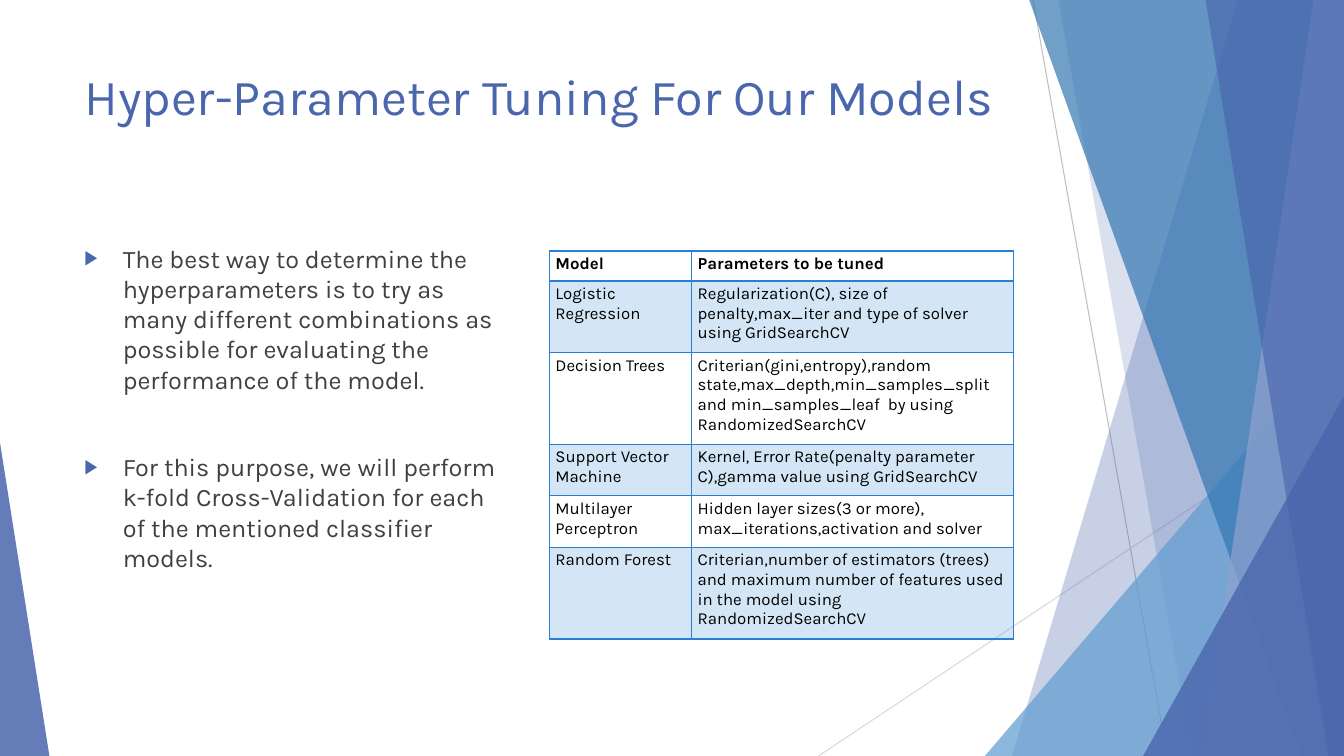
from lxml import etree
from pptx import Presentation
from pptx import util as u
from pptx.dml.color import RGBColor
from pptx.enum import shapes, text
from pptx.oxml import parse_xml
from pptx.oxml.ns import nsdecls, qn

HEX = {
    "navy": "4A66AC", "sky": "629DD1", "blue": "3477B2", "pale": "90A2CF",
    "edge": "297FD5", "body": "404040", "ink": "000000",
    "gray": "BFBFBF", "mist": "D9D9D9",
}
FONT = "Karla"

TITLE = "Hyper-Parameter Tuning For Our Models"
POINTS = [
    "The best way to determine the hyperparameters is to try as many different "
    "combinations as possible for evaluating the performance of the model.",
    "For this purpose, we will perform k-fold Cross-Validation for each of the "
    "mentioned classifier models.",
]
ROWS = [
    ("Model", "Parameters to be tuned", 4),
    ("Logistic Regression",
     "Regularization(C), size of penalty,max_iter and type of solver using GridSearchCV", 9.47),
    ("Decision Trees",
     "Criterian(gini,entropy),random state,max_depth,min_samples_split and "
     "min_samples_leaf  by using RandomizedSearchCV", 12.13),
    ("Support Vector Machine",
     "Kernel, Error Rate(penalty parameter C),gamma value using GridSearchCV", 6.8),
    ("Multilayer Perceptron",
     "Hidden layer sizes(3 or more),\nmax_iterations,activation and solver", 6.8),
    ("Random Forest",
     "Criterian,number of estimators (trees) and maximum number of features used "
     "in the model using RandomizedSearchCV", 12.13),
]

# Lengths are percentages of the slide's width and height.
COLS = (10.58, 23.93)
GRID = (40.88, 33.2)
HEAD = (5.55, 8.93, 70.5, 19.2)
BODY = (5.55, 31.47, 32.48, 54.67)
LINES = [
    (76.87, 0, 86.85, 100, "gray"),
    (100, 53.73, 60.9, 100, "mist"),
]
FACETS = [
    ("band", 92.1, 75.3, "navy", 30),
    ("band", 78.75, 88.73, "navy", 20),
    ("peak", (73.28, 44.4, 100), 1, "sky", 72),
    ("band", 76.58, 96.83, "blue", 70),
    ("band", 97.73, 89.4, "pale", 70),
    ("band", 89.7, 98.85, "navy", 65),
    ("peak", (85.05, 52.4, 100), 1, "navy", 80),
    ("peak", (0, 58.53, 3.68), 0, "navy", 85),
]

deck = Presentation()
deck.slide_width, deck.slide_height = u.Inches(13.333), u.Inches(7.5)
slide = deck.slides.add_slide(deck.slide_layouts[6])
parts = slide.shapes


def wide(share):
    return u.Emu(round(deck.slide_width * share / 100))


def high(share):
    return u.Emu(round(deck.slide_height * share / 100))


def area(left, top, width, height):
    return wide(left), high(top), wide(width), high(height)


def tint(fill, name, alpha):
    fill.solid()
    fill.fore_color.rgb = RGBColor.from_string(HEX[name])
    color = fill._xPr.find(qn("a:solidFill"))[0]
    etree.SubElement(color, qn("a:alpha")).set("val", str(alpha * 1000))


def style(frame, size, name, bold=False):
    for para in frame.paragraphs:
        for run in para.runs:
            run.font.name, run.font.size, run.font.bold = FONT, u.Pt(size), bold
            run.font.color.rgb = RGBColor.from_string(HEX[name])


def block(box, words, size, name):
    frame = parts.add_textbox(*area(*box)).text_frame
    frame.word_wrap = True
    frame.vertical_anchor = text.MSO_ANCHOR.TOP
    frame.text = words
    style(frame, size, name)
    return frame


def band(top, base):
    pts = [(wide(top), 0), (wide(100), 0), (wide(100), high(100)), (wide(base), high(100))]
    form = parts.build_freeform(*pts[0])
    form.add_line_segments(pts[1:], close=True)
    return form.convert_to_shape()


def peak(span, tip):
    left, top, right = span
    form = parts.add_shape(shapes.MSO_SHAPE.ISOSCELES_TRIANGLE,
                           *area(left, top, right - left, 100 - top))
    form.adjustments[0] = tip
    return form


def bullet(para):
    prop = para._p.get_or_add_pPr()
    prop.set("marL", str(u.Inches(0.38)))
    prop.set("indent", str(-u.Inches(0.38)))
    for mark in (f'<a:buClr {nsdecls("a")}><a:srgbClr val="{HEX["navy"]}"/></a:buClr>',
                 f'<a:buSzPct {nsdecls("a")} val="80000"/>',
                 f'<a:buFont {nsdecls("a")} typeface="Arial"/>',
                 f'<a:buChar {nsdecls("a")} char="▶"/>'):
        prop.append(parse_xml(mark))


def border(cell, row):
    prop = cell._tc.get_or_add_tcPr()
    for side in "LRTB":
        thick = 2 if (row, side) in ((0, "B"), (1, "T")) else 1
        prop.append(parse_xml(
            f'<a:ln{side} {nsdecls("a")} w="{u.Pt(thick)}"><a:solidFill>'
            f'<a:srgbClr val="{HEX["edge"]}"/></a:solidFill></a:ln{side}>'))


for x1, y1, x2, y2, name in LINES:
    line = parts.add_connector(shapes.MSO_CONNECTOR.STRAIGHT,
                               wide(x1), high(y1), wide(x2), high(y2))
    line.line.width = u.Pt(0.75)
    line.line.color.rgb = RGBColor.from_string(HEX[name])
    etree.SubElement(line._element.spPr, qn("a:effectLst"))

for kind, first, last, name, alpha in FACETS:
    facet = (band if kind == "band" else peak)(first, last)
    facet.shadow.inherit = False
    facet.line.fill.background()
    tint(facet.fill, name, alpha)

title = block(HEAD, TITLE, 36, "navy")
title.paragraphs[0].line_spacing = 0.9

notes = block(BODY, "\n".join(POINTS), 18, "body")
for para, gap in zip(notes.paragraphs, (10, 41)):
    para.space_before = u.Pt(gap)
    bullet(para)

tall = sum(row[-1] for row in ROWS)
table = parts.add_table(len(ROWS), len(COLS), *area(*GRID, sum(COLS), tall)).table
table.first_row = table.horz_banding = False
for col, share in zip(table.columns, COLS):
    col.width = wide(share)
for r, (*words, share) in enumerate(ROWS):
    table.rows[r].height = high(share)
    for c, word in enumerate(words):
        cell = table.cell(r, c)
        cell.margin_left = cell.margin_right = u.Inches(0.06)
        cell.margin_top = cell.margin_bottom = u.Inches(0.03)
        cell.text_frame.text = word
        style(cell.text_frame, 12, "ink", r == 0)
        border(cell, r)
        if r % 2:
            tint(cell.fill, "edge", 20)
        else:
            cell.fill.background()

deck.save("out.pptx")
